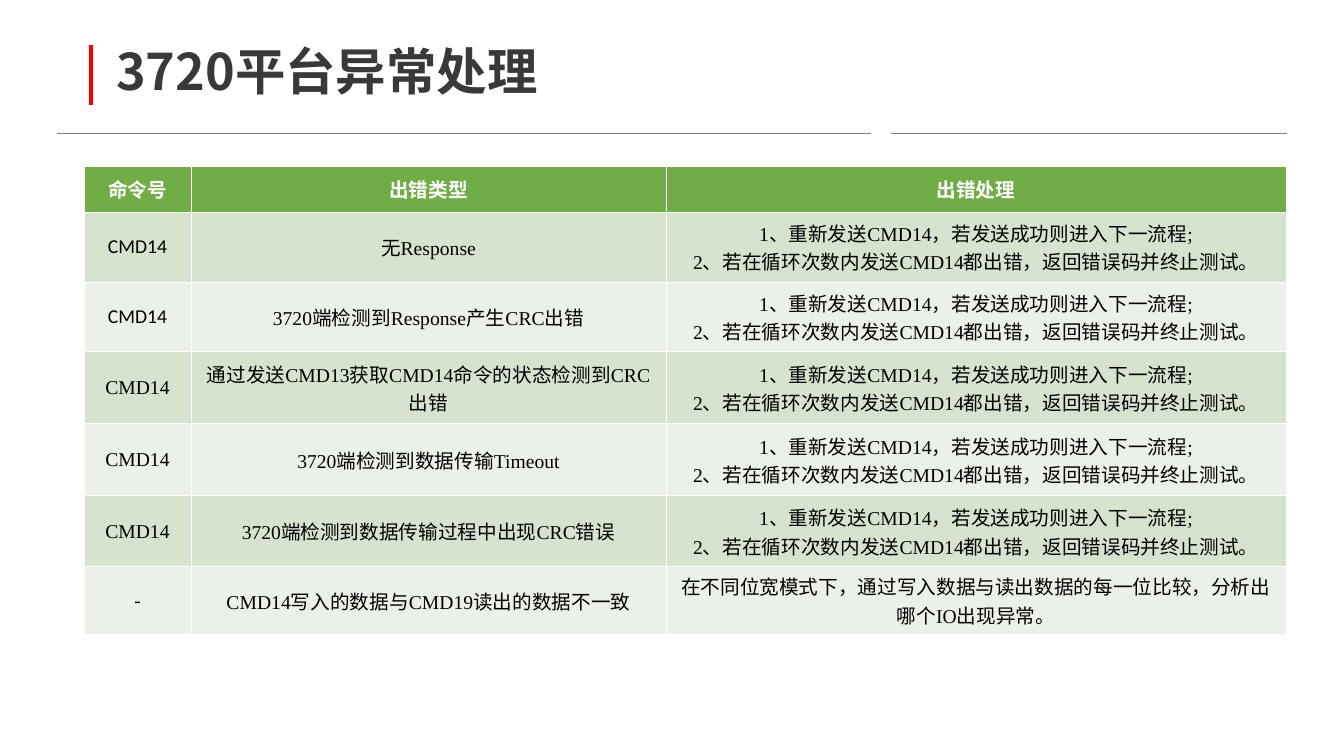
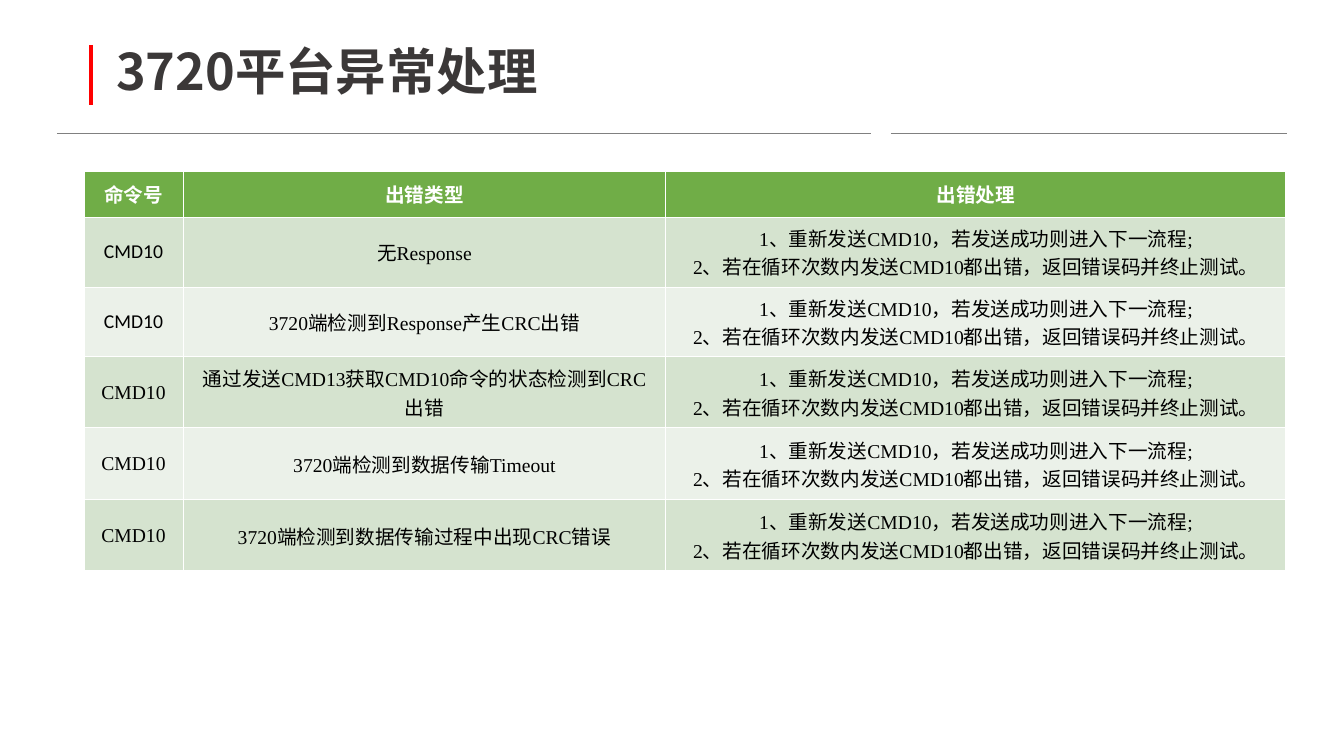
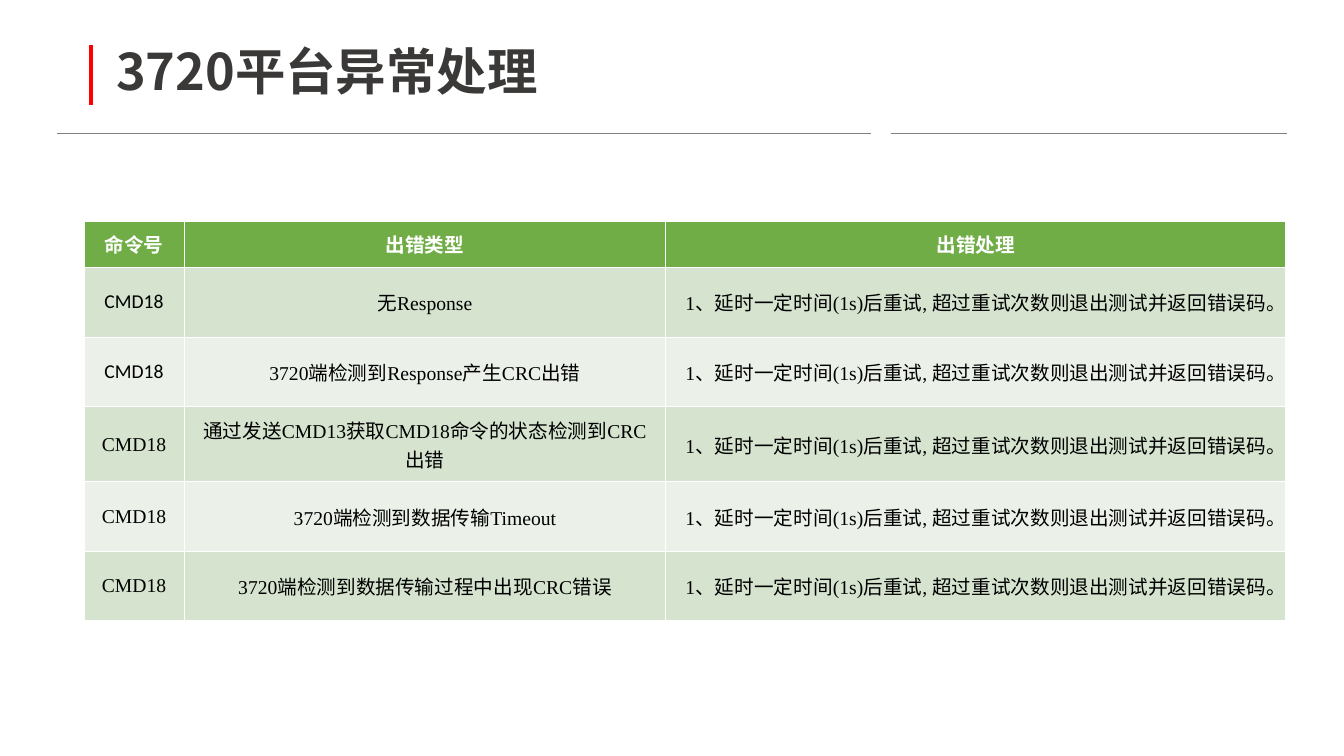
from lxml import etree
from pptx import Presentation
from pptx import util as u
from pptx.dml import color as colors
from pptx.enum import shapes, text
from pptx.oxml import ns

TITLE = "3720平台异常处理"
HEADERS = ["命令号", "出错类型", "出错处理"]
ERRORS = [
    "无Response",
    "3720端检测到Response产生CRC出错",
    "通过发送CMD13获取{command}命令的状态检测到CRC出错",
    "3720端检测到数据传输Timeout",
    "3720端检测到数据传输过程中出现CRC错误",
]
RESEND = [
    "1、重新发送{command}，若发送成功则进入下一流程;",
    "2、若在循环次数内发送{command}都出错，返回错误码并终止测试。",
]
DELAY = ["1、延时一定时间(1s)后重试, 超过重试次数则退出测试并返回错误码。"]
MISMATCH = [
    "-",
    "CMD14写入的数据与CMD19读出的数据不一致",
    "在不同位宽模式下，通过写入数据与读出数据的每一位比较，分析出哪个IO出现异常。",
]


def px(length):
    return u.Emu(round(length * 914400 / 100.8))


def rgb(value):
    return colors.RGBColor.from_string(value)


class Deck:
    CJK, SANS, SERIF = "Noto Sans CJK SC", "Calibri", "Times New Roman"
    WHITE, BLACK, TITLE_GREY = "FFFFFF", "000000", "3B3838"
    GREEN, BANDS = "70AD47", ["D5E3CF", "EBF1E9"]
    RULES = [
        (57, 133, 871, 133, "808080", 0.5),
        (891, 133, 1287, 133, "808080", 0.5),
        (91, 45, 91, 105, "FF0000", 2.25),
    ]
    TABLE_LEFT, TABLE_WIDTH, HANDLING_WIDTH, HEADER_HEIGHT = 84, 1202, 620, 46

    def __init__(self):
        self.presentation = Presentation()
        self.presentation.slide_width = px(1344)
        self.presentation.slide_height = px(756)
        self.layout = self.presentation.slide_layouts[5]
        title, *footers = self.layout.placeholders
        for footer in footers:
            footer.element.getparent().remove(footer.element)
        title.left, title.top, title.width, title.height = map(px, (106, 23, 1159, 103))

    def add_slide(self, title):
        self.slide = self.presentation.slides.add_slide(self.layout)
        if len(self.presentation.slides) == 1:
            for rule in self.RULES:
                self.layout.shapes.element.append(self.add_rule(*rule).element)
        frame = self.slide.shapes.title.text_frame
        frame.vertical_anchor = text.MSO_ANCHOR.MIDDLE
        frame.auto_size = text.MSO_AUTO_SIZE.NONE
        paragraph = frame.paragraphs[0]
        paragraph.alignment = text.PP_ALIGN.LEFT
        paragraph.line_spacing = 0.9
        self.add_run(paragraph, title, self.CJK, 36, self.TITLE_GREY, True)

    def add_rule(self, x1, y1, x2, y2, color, width):
        rule = self.slide.shapes.add_connector(
            shapes.MSO_CONNECTOR.STRAIGHT, px(x1), px(y1), px(x2), px(y2))
        rule.line.color.rgb = rgb(color)
        rule.line.width = u.Pt(width)
        etree.SubElement(rule.element.spPr, ns.qn("a:effectLst"))
        return rule

    def add_run(self, paragraph, words, font_name, size, color, bold):
        run = paragraph.add_run()
        run.text = words
        font = run.font
        font.name, font.size, font.bold = font_name, u.Pt(size), bold
        font.color.rgb = rgb(color)
        properties = run._r.get_or_add_rPr()
        latin = properties.find(ns.qn("a:latin"))
        east_asian = etree.Element(ns.qn("a:ea"), typeface=self.CJK)
        latin.addnext(east_asian)

    def add_border(self, cell):
        properties = cell._tc.get_or_add_tcPr()
        for side in ("lnL", "lnR", "lnT", "lnB"):
            line = etree.SubElement(properties, ns.qn(f"a:{side}"), w=str(u.Pt(0.75)))
            fill = etree.SubElement(line, ns.qn("a:solidFill"))
            etree.SubElement(fill, ns.qn("a:srgbClr"), val=self.WHITE)

    def fill_cell(self, cell, lines, fill, font_name, color, bold):
        self.add_border(cell)
        cell.fill.solid()
        cell.fill.fore_color.rgb = rgb(fill)
        cell.vertical_anchor = text.MSO_ANCHOR.MIDDLE
        frame = cell.text_frame
        for index, line in enumerate(lines):
            paragraph = frame.add_paragraph() if index else frame.paragraphs[0]
            paragraph.alignment = text.PP_ALIGN.CENTER
            self.add_run(paragraph, line, font_name, 14, color, bold)

    def add_error_table(self, top, command_width, row_heights, rows):
        heights = [self.HEADER_HEIGHT, *row_heights]
        widths = [command_width,
                  self.TABLE_WIDTH - self.HANDLING_WIDTH - command_width,
                  self.HANDLING_WIDTH]
        table = self.slide.shapes.add_table(
            len(heights), len(widths), px(self.TABLE_LEFT), px(top),
            px(self.TABLE_WIDTH), px(sum(heights))).table
        for column, width in zip(table.columns, widths):
            column.width = px(width)
        for row, height in zip(table.rows, heights):
            row.height = px(height)
        for column, header in enumerate(HEADERS):
            self.fill_cell(table.cell(0, column), [header], self.GREEN,
                           self.SANS, self.WHITE, True)
        for row, cells in enumerate(rows, 1):
            for column, lines in enumerate(cells):
                font_name = self.SANS if column == 0 and row <= 2 else self.SERIF
                self.fill_cell(table.cell(row, column), lines, self.BANDS[(row - 1) % 2],
                               font_name, self.BLACK, False)


def command_rows(command, handling):
    return [[[command], [error.format(command=command)],
             [line.format(command=command) for line in handling]] for error in ERRORS]


def main():
    deck = Deck()
    tables = [
        ("CMD14", RESEND, 166, 107, [70, 70, 72, 72, 71, 67], [[[words] for words in MISMATCH]]),
        ("CMD10", RESEND, 171, 99, [70, 70, 71, 72, 71], []),
        ("CMD18", DELAY, 221, 100, [70, 70, 75, 70, 69], []),
    ]
    for command, handling, top, command_width, row_heights, extra_rows in tables:
        deck.add_slide(TITLE)
        rows = command_rows(command, handling) + extra_rows
        deck.add_error_table(top, command_width, row_heights, rows)
    deck.presentation.save("out.pptx")


if __name__ == "__main__":
    main()
